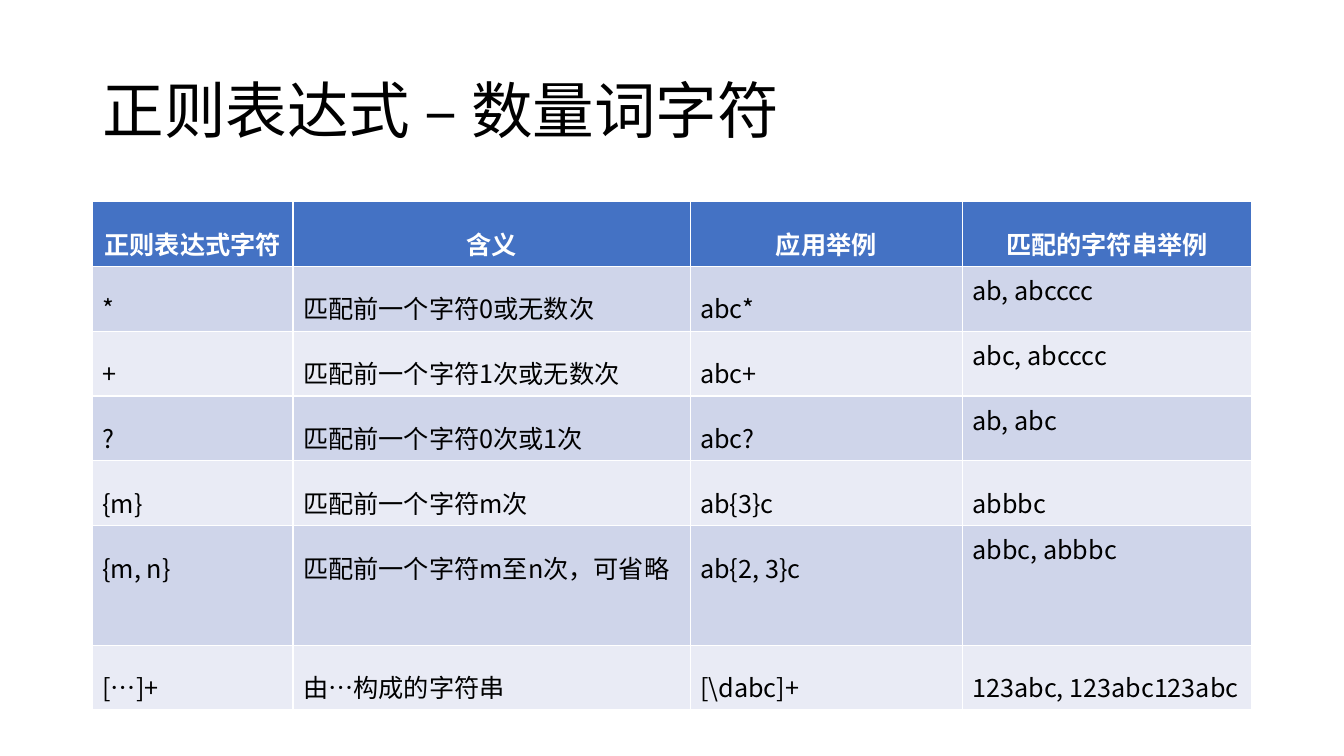
from lxml import etree
from pptx import Presentation
from pptx import util as u
from pptx.dml.color import RGBColor
from pptx.enum import text
from pptx.oxml.ns import qn

BLACK = RGBColor(0x00, 0x00, 0x00)
WHITE = RGBColor(0xFF, 0xFF, 0xFF)
BLUE = RGBColor(0x44, 0x72, 0xC4)
BANDS = RGBColor(0xE9, 0xEB, 0xF5), RGBColor(0xCF, 0xD5, 0xEA)
FONT = "Noto Sans CJK SC"

TITLE_BOX = 66, 28.8, 828, 104.4
TABLE_BOX = 66, 144, 828, 206.5
COL_WIDTHS = 143.3, 283.7, 194.4, 206.6
ROWS = [
    ("正则表达式字符", "含义", "应用举例", "匹配的字符串举例"),
    ("*", "匹配前一个字符0或无数次", "abc*", "ab, abcccc"),
    ("+", "匹配前一个字符1次或无数次", "abc+", "abc, abcccc"),
    ("?", "匹配前一个字符0次或1次", "abc?", "ab, abc"),
    ("{m}", "匹配前一个字符m次", "ab{3}c", "abbbc"),
    ("{m, n}", "匹配前一个字符m至n次，可省略", "ab{2, 3}c", "abbc, abbbc"),
    ("[…]+", "由…构成的字符串", "[\\dabc]+", "123abc, 123abc123abc"),
]
# Rows whose last cell is single spaced
SINGLE_SPACED = {1, 2, 3, 5}


def write(tf, words, color, para_format, **font_format):
    p = tf.paragraphs[0]
    for name, value in para_format.items():
        setattr(p, name, value)
    r = p.add_run()
    r.text = words
    r.font.color.rgb = color
    for name, value in {"name": FONT, **font_format}.items():
        setattr(r.font, name, value)
    # East Asian typeface
    etree.SubElement(r.font._element, qn("a:ea"), typeface=FONT)


def add_title(s, box, words):
    sp = s.shapes.title
    sp.left, sp.top, sp.width, sp.height = map(u.Pt, box)
    tf = sp.text_frame
    tf.auto_size = text.MSO_AUTO_SIZE.NONE
    tf.vertical_anchor = text.MSO_ANCHOR.MIDDLE
    write(tf, words, BLACK,
          {"alignment": text.PP_ALIGN.LEFT, "line_spacing": 0.9},
          size=u.Pt(44))


def add_quantifier_table(s, box, rows):
    tbl = s.shapes.add_table(len(rows), len(COL_WIDTHS), *map(u.Pt, box)).table
    for col, width in zip(tbl.columns, COL_WIDTHS):
        col.width = u.Pt(width)
    for i, row in enumerate(rows):
        header = i == 0
        tbl.rows[i].height = u.Pt(box[3] / len(rows))
        for j, words in enumerate(row):
            cell = tbl.cell(i, j)
            cell.fill.solid()
            cell.fill.fore_color.rgb = BLUE if header else BANDS[i % 2]
            single = j == len(row) - 1 and i in SINGLE_SPACED
            para_format = {
                "alignment": text.PP_ALIGN.CENTER if header else text.PP_ALIGN.LEFT,
                "line_spacing": 1.0 if single else 1.5,
            }
            write(cell.text_frame, words, WHITE if header else BLACK,
                  para_format, size=u.Pt(18), bold=header)


def main():
    prs = Presentation()
    prs.slide_width, prs.slide_height = u.Pt(960), u.Pt(540)
    s = prs.slides.add_slide(prs.slide_layouts[5])
    # Title
    add_title(s, TITLE_BOX, "正则表达式 – 数量词字符")
    # Table of quantifiers
    add_quantifier_table(s, TABLE_BOX, ROWS)
    prs.save("out.pptx")


if __name__ == "__main__":
    main()
